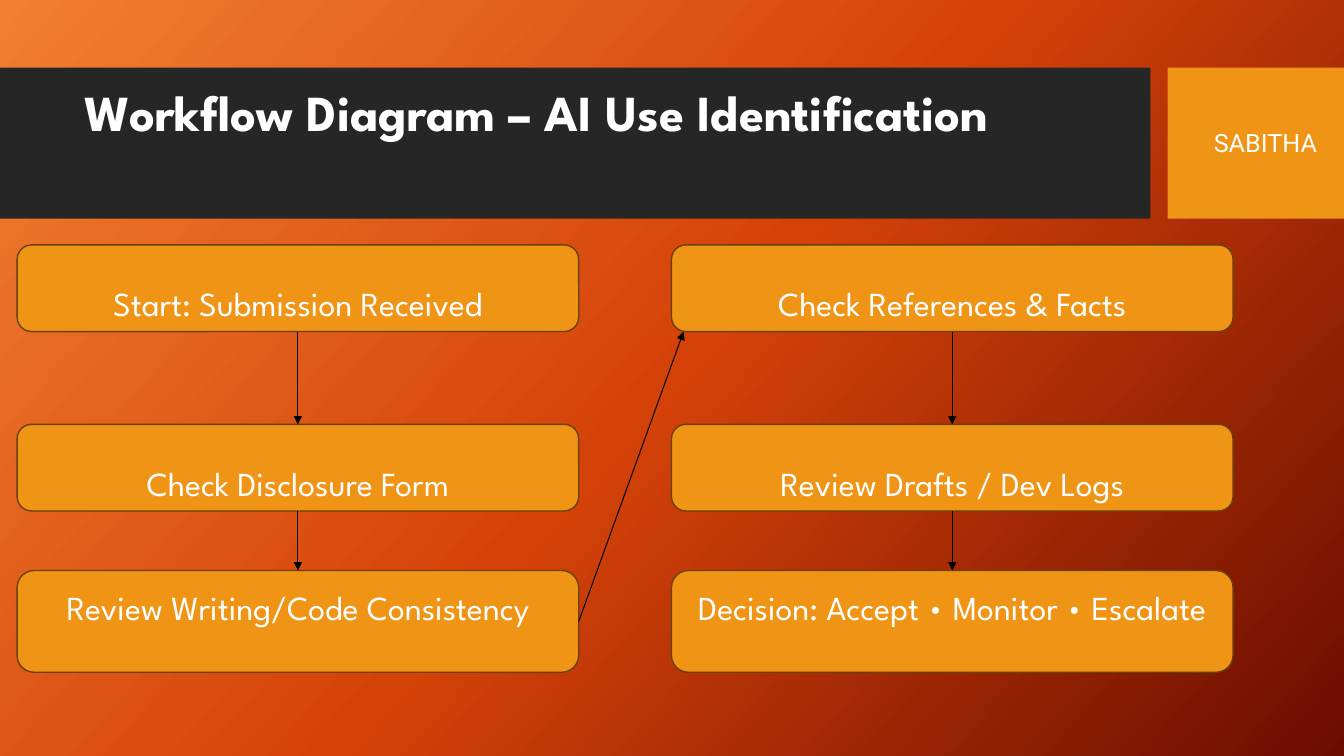
from copy import deepcopy
from dataclasses import dataclass

from lxml import etree
from pptx import Presentation
from pptx.dml.color import RGBColor
from pptx.enum.shapes import MSO_CONNECTOR, MSO_SHAPE
from pptx.enum.text import MSO_ANCHOR, PP_ALIGN
from pptx.oxml.ns import qn
from pptx.util import Inches, Pt

RECTANGLE = MSO_SHAPE.RECTANGLE
ROUNDED = MSO_SHAPE.ROUNDED_RECTANGLE
STRAIGHT = MSO_CONNECTOR.STRAIGHT
MIDDLE = MSO_ANCHOR.MIDDLE
LEFT, CENTER = PP_ALIGN.LEFT, PP_ALIGN.CENTER
TITLE_ONLY = 5


@dataclass(frozen=True)
class Theme:
    gradient: tuple = ((0, "F18031"), (0.5, "D54209"), (1, "6A0D00"))
    gradient_angle: int = 318
    band: str = "262626"
    accent: str = "F09415"
    outline: str = "694109"
    arrow: str = "000000"
    text: str = "FFFFFF"
    heading_font: str = "League Spartan"
    label_font: str = "Roboto"
    title_size: int = 36
    step_size: int = 24
    label_size: int = 18


THEME = Theme()
COLUMNS = (
    ("Start: Submission Received", "Check Disclosure Form",
     "Review Writing/Code Consistency"),
    ("Check References & Facts", "Review Drafts / Dev Logs",
     "Decision: Accept • Monitor • Escalate"),
)
STEP_ROWS = ((0, 0.86, 0.3, 0), (1.78, 0.86, 0.3, 0), (3.23, 1.01, 0, 0.29))
STEP_WIDTH = 5.57
COLUMN_PITCH = 6.49


def color(value):
    return RGBColor.from_string(value)


def write_text(shape, text, size, font, alignment, bold=False):
    frame = shape.text_frame
    frame.word_wrap = True
    frame.vertical_anchor = MIDDLE
    frame.text = text
    paragraph = frame.paragraphs[0]
    paragraph.alignment = alignment
    run = paragraph.runs[0]
    run.font.size = Pt(size)
    run.font.name = font
    run.font.bold = bold
    run.font.color.rgb = color(THEME.text)
    return paragraph


def add_block(slide, kind, box, fill, outline=None):
    shape = slide.shapes.add_shape(kind, *map(Inches, box))
    shape.shadow.inherit = False
    shape.fill.solid()
    shape.fill.fore_color.rgb = color(fill)
    if outline:
        shape.line.color.rgb = color(outline)
        shape.line.width = Pt(1)
    else:
        shape.line.fill.background()
    return shape


def add_arrow(slide, start, end):
    arrow = slide.shapes.add_connector(STRAIGHT, *start, *end)
    arrow.line.color.rgb = color(THEME.arrow)
    arrow.line.width = Pt(0.75)
    line = arrow.element.spPr.find(qn("a:ln"))
    etree.SubElement(line, qn("a:tailEnd"), type="triangle")
    etree.SubElement(arrow.element.spPr, qn("a:effectLst"))


def paint_background(slide):
    fill = slide.background.fill
    fill.gradient()
    fill.gradient_angle = THEME.gradient_angle
    stops = slide.element.find(".//" + qn("a:gsLst"))
    stops.insert(1, deepcopy(stops[0]))
    for stop, (position, value) in zip(fill.gradient_stops, THEME.gradient):
        stop.position = position
        stop.color.rgb = color(value)


def build_header(slide, left, top, width, height):
    tag_width = 1.75
    tag_left = left + width - tag_width
    band_width = width - tag_width - 0.17
    add_block(slide, RECTANGLE, (left, top, band_width, height), THEME.band)
    add_block(slide, RECTANGLE, (tag_left, top, tag_width, height), THEME.accent)

    title = slide.shapes.title
    title.left, title.top = Inches(left + 0.74), Inches(top + 0.15)
    title.width, title.height = Inches(10.51), Inches(1.18)
    paragraph = write_text(title, "Workflow Diagram – AI Use Identification",
                           THEME.title_size, THEME.heading_font, LEFT, bold=True)
    paragraph.line_spacing = 0.9
    title.text_frame.margin_bottom = Inches(0.59)
    title.element.getparent().append(title.element)

    label = slide.shapes.add_textbox(Inches(tag_left + 0.36), Inches(top + 0.54),
                                     Inches(tag_width - 0.36), Inches(0.4))
    write_text(label, "SABITHA", THEME.label_size, THEME.label_font, LEFT)


def build_column(slide, left, top, width, labels):
    steps = []
    for label, (offset, height, above, below) in zip(labels, STEP_ROWS):
        step = add_block(slide, ROUNDED, (left, top + offset, width, height),
                         THEME.accent, THEME.outline)
        write_text(step, label, THEME.step_size, THEME.heading_font, CENTER)
        step.text_frame.margin_top = Inches(above)
        step.text_frame.margin_bottom = Inches(below)
        steps.append(step)
    for upper, lower in zip(steps, steps[1:]):
        middle = upper.left + upper.width // 2
        add_arrow(slide, (middle, upper.top + upper.height), (middle, lower.top))
    return steps


def build_workflow(slide, left, top):
    first, second = [
        build_column(slide, left + index * COLUMN_PITCH, top, STEP_WIDTH, labels)
        for index, labels in enumerate(COLUMNS)
    ]
    source, target = first[-1], second[0]
    add_arrow(slide,
              (source.left + source.width, source.top + source.height // 2),
              (target.left + Inches(0.12), target.top + target.height))


def main():
    presentation = Presentation()
    presentation.slide_width = Inches(13.33)
    presentation.slide_height = Inches(7.5)
    slide = presentation.slides.add_slide(presentation.slide_layouts[TITLE_ONLY])
    paint_background(slide)
    build_header(slide, 0, 0.67, 13.33, 1.5)
    build_workflow(slide, 0.17, 2.43)
    presentation.save("out.pptx")


if __name__ == "__main__":
    main()
